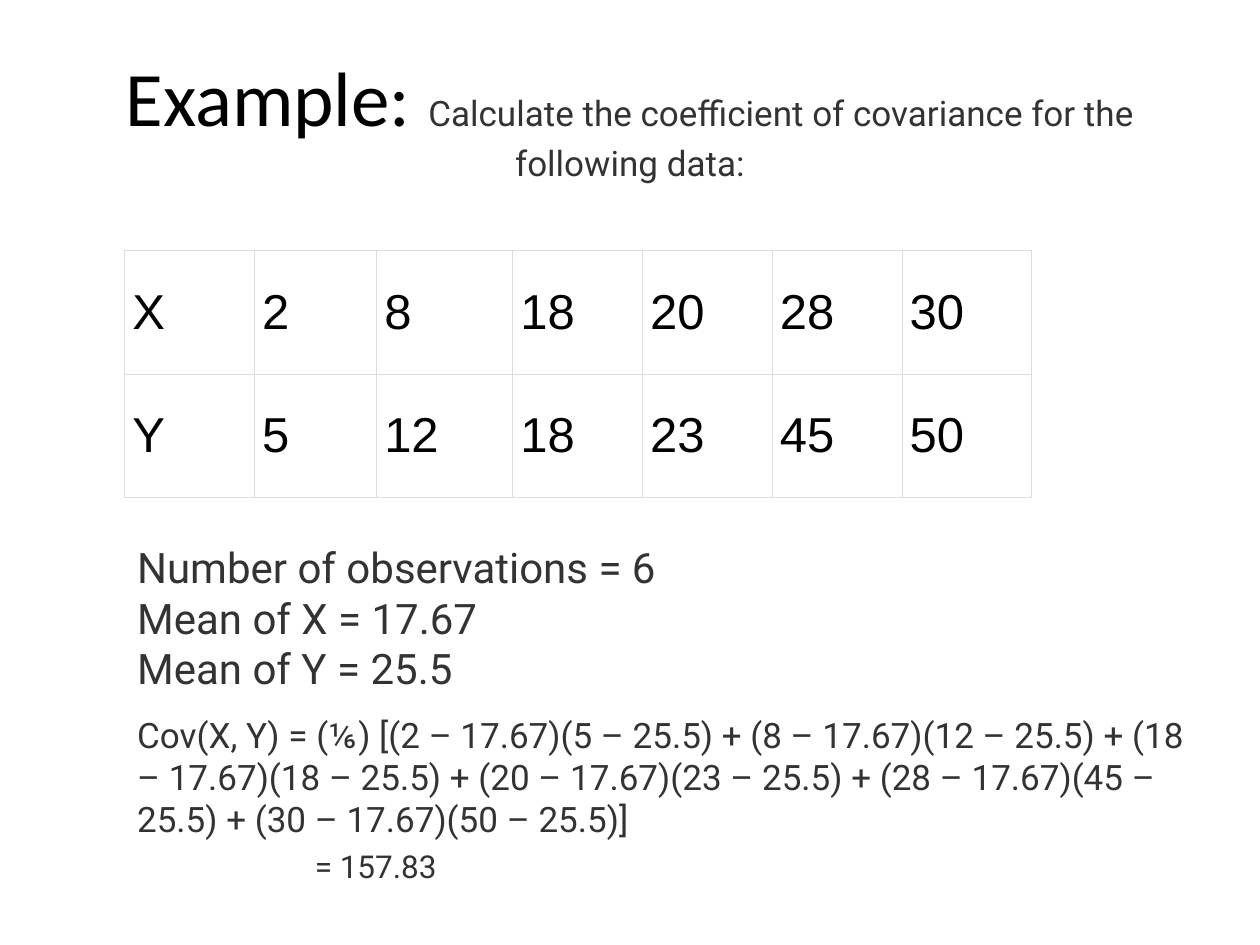
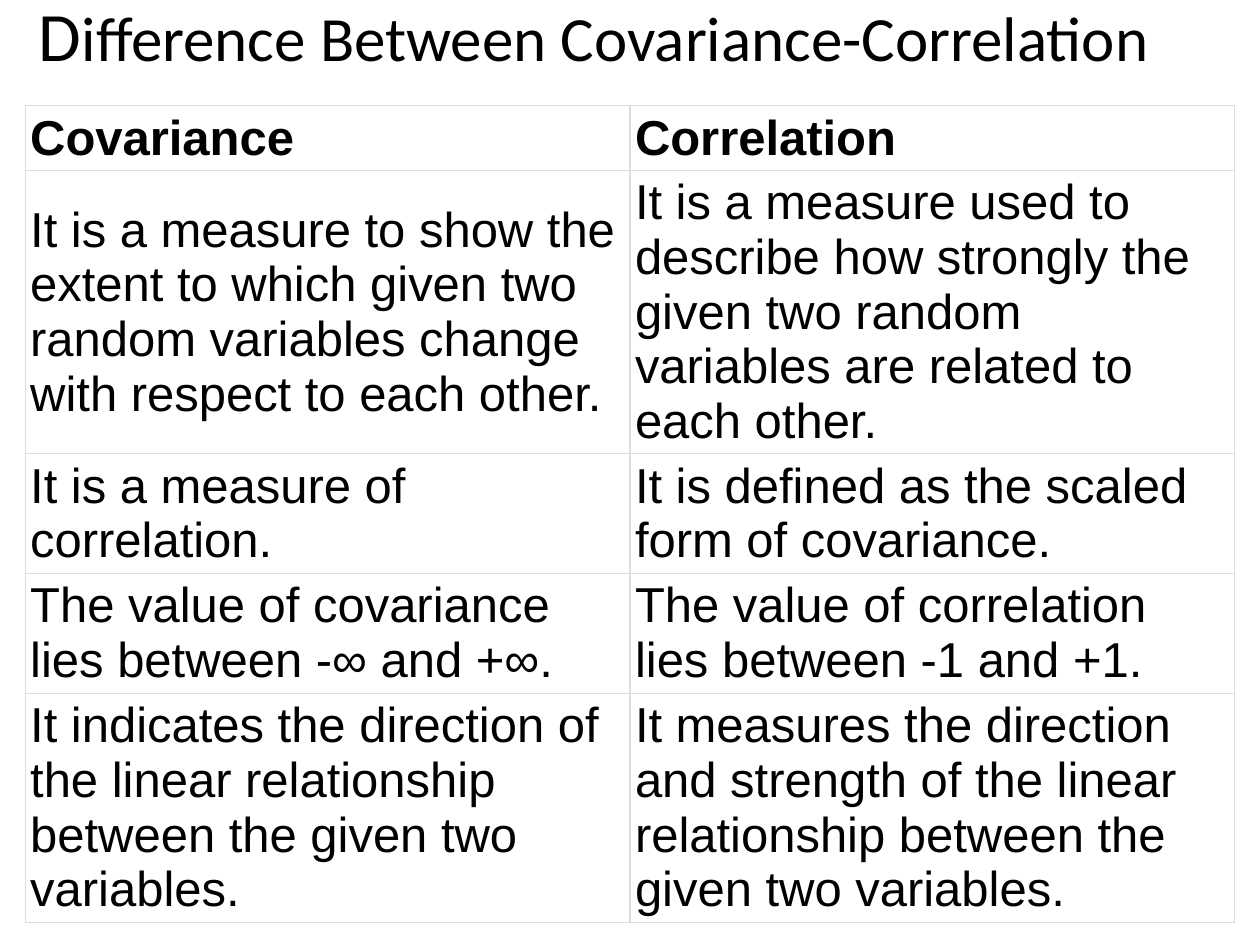
from lxml import etree
from pptx import Presentation
from pptx.dml.color import RGBColor
from pptx.enum.text import MSO_ANCHOR, MSO_AUTO_SIZE, PP_ALIGN
from pptx.oxml.ns import qn
from pptx.util import Inches, Pt

CENTER, LEFT = PP_ALIGN.CENTER, PP_ALIGN.LEFT
MIDDLE = MSO_ANCHOR.MIDDLE
NO_FIT, GROW = MSO_AUTO_SIZE.NONE, MSO_AUTO_SIZE.SHAPE_TO_FIT_TEXT
TITLE_ONLY = 5

BLACK, GRAY, WHITE, BORDER = "000000", "333333", "FFFFFF", "DDDDDD"
BORDER_WIDTH = Pt(0.75)
BORDER_SIDES = ("a:lnL", "a:lnR", "a:lnT", "a:lnB")


def color(value):
    return RGBColor.from_string(value)


def text_format(name, size, value, bold=False):
    return {"name": name, "size": Pt(size), "bold": bold, "color": value}


def heading(size):
    return text_format("Calibri", size, BLACK)


def note(size):
    return text_format("Roboto", size, GRAY)


def table_text(bold=False):
    return text_format("Arial", 28, BLACK, bold)


class Deck:
    """Holds the shared style and the current slide."""

    def __init__(self):
        self.presentation = Presentation()
        self.presentation.slide_width = Inches(10)
        self.presentation.slide_height = Inches(7.5)
        self.slide = None

    def add_slide(self):
        layout = self.presentation.slide_layouts[TITLE_ONLY]
        self.slide = self.presentation.slides.add_slide(layout)

    def add_run(self, paragraph, text, style):
        run = paragraph.add_run()
        run.text = text
        for attribute, value in style.items():
            if attribute == "color":
                run.font.color.rgb = color(value)
            else:
                setattr(run.font, attribute, value)

    def add_title(self, left, top, width, height, parts):
        title = self.slide.shapes.title
        box = {"left": left, "top": top, "width": width, "height": height}
        for attribute, value in box.items():
            setattr(title, attribute, Inches(value))
        frame = title.text_frame
        frame.auto_size, frame.vertical_anchor = NO_FIT, MIDDLE
        paragraph = frame.paragraphs[0]
        paragraph.alignment = CENTER
        for text, style in parts:
            self.add_run(paragraph, text, style)

    def add_text(self, left, top, width, height, lines, style):
        box = map(Inches, (left, top, width, height))
        frame = self.slide.shapes.add_textbox(*box).text_frame
        frame.word_wrap, frame.auto_size = True, GROW
        for index, line in enumerate(lines):
            paragraph = frame.add_paragraph() if index else frame.paragraphs[0]
            self.add_run(paragraph, line, style)

    def add_borders(self, cell):
        properties = cell._tc.get_or_add_tcPr()
        for position, side in enumerate(BORDER_SIDES):
            line = etree.Element(qn(side), w=str(BORDER_WIDTH))
            fill = etree.SubElement(line, qn("a:solidFill"))
            etree.SubElement(fill, qn("a:srgbClr"), val=BORDER)
            properties.insert(position, line)

    def add_table(self, left, top, widths, heights, rows, margin, header=False):
        box = map(Inches, (left, top, sum(widths), sum(heights)))
        table = self.slide.shapes.add_table(len(rows), len(widths), *box).table
        table.first_row, table.horz_banding = header, False
        for column, width in zip(table.columns, widths):
            column.width = Inches(width)
        for row, height in zip(table.rows, heights):
            row.height = Inches(height)
        for row_index, values in enumerate(rows):
            style = table_text(bold=header and row_index == 0)
            for column_index, text in enumerate(values):
                cell = table.cell(row_index, column_index)
                cell.fill.solid()
                cell.fill.fore_color.rgb = color(WHITE)
                cell.vertical_anchor = MIDDLE
                for side in ("left", "right", "top", "bottom"):
                    setattr(cell, f"margin_{side}", Inches(margin))
                paragraph = cell.text_frame.paragraphs[0]
                paragraph.alignment = LEFT
                self.add_run(paragraph, text, style)
                self.add_borders(cell)


def build_example(deck):
    deck.add_slide()
    deck.add_title(0.5, 0.3, 9, 1.25, [
        ("Example: ", heading(44)),
        ("Calculate the coefficient of covariance for the following data:", note(20)),
    ])

    # Observations
    x_values = [2, 8, 18, 20, 28, 30]
    y_values = [5, 12, 18, 23, 45, 50]
    rows = [["X", *map(str, x_values)], ["Y", *map(str, y_values)]]
    widths = [1.03, 0.97, 1.08] + [1.03] * 4
    deck.add_table(0.99, 1.99, widths, [0.98] * 2, rows, margin=0.06)

    # Means and covariance
    deck.add_text(0.99, 4.25, 6.95, 1.31, [
        "Number of observations = 6", "Mean of X = 17.67", "Mean of Y = 25.5",
    ], note(24))
    products = " + ".join(f"({x} – 17.67)({y} – 25.5)"
                          for x, y in zip(x_values, y_values))
    deck.add_text(0.99, 5.61, 8.54, 1.45, [f"Cov(X, Y) = (⅙) [{products}]"], note(20))
    deck.add_text(2.4, 6.67, 5, 0.4, ["= 157.83"], note(18))


def build_difference(deck):
    deck.add_slide()
    deck.add_title(0.12, -0.19, 9.19, 0.91, [
        ("D", heading(39.6)),
        ("ifference Between Covariance-Correlation", heading(36)),
    ])

    # Comparison
    rows = [
        ("Covariance", "Correlation"),
        ("It is a measure to show the extent to which given two random variables "
         "change with respect to each other.",
         "It is a measure used to describe how strongly the given two random "
         "variables are related to each other."),
        ("It is a measure of correlation.",
         "It is defined as the scaled form of covariance."),
        ("The value of covariance lies between -∞ and +∞.",
         "The value of correlation lies between -1 and +1."),
        ("It indicates the direction of the linear relationship between the given "
         "two variables.",
         "It measures the direction and strength of the linear relationship "
         "between the given two variables."),
    ]
    heights = [0.51, 1.82, 0.95, 0.95, 1.82]
    deck.add_table(0.2, 0.84, [4.8] * 2, heights, rows, margin=0.04, header=True)


def main():
    deck = Deck()
    build_example(deck)
    build_difference(deck)
    deck.presentation.save("out.pptx")


if __name__ == "__main__":
    main()
